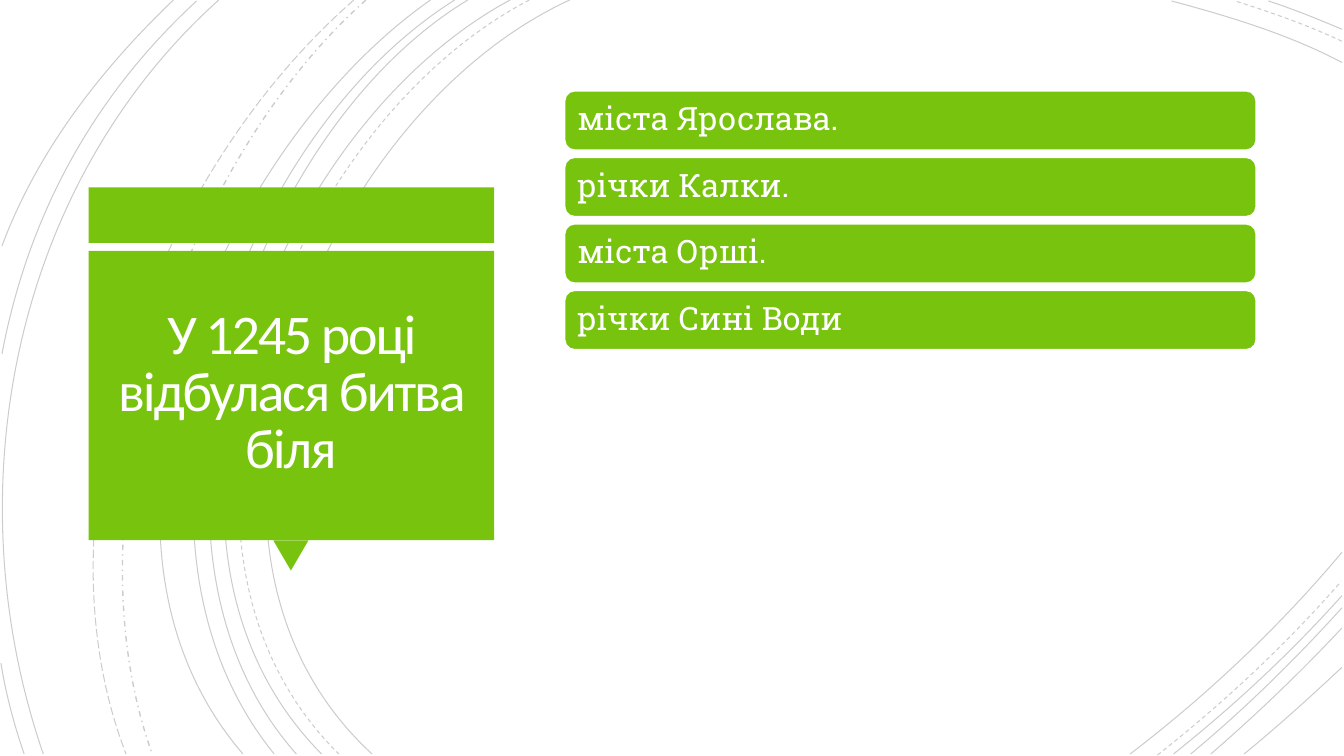
from lxml.etree import SubElement
from pptx import Presentation
from pptx.dml.color import RGBColor
from pptx.enum.dml import MSO_LINE as DASH
from pptx.enum.shapes import MSO_SHAPE as SHAPE
from pptx.enum.text import MSO_ANCHOR, MSO_AUTO_SIZE, PP_ALIGN
from pptx.oxml.ns import qn
from pptx.util import Inches, Pt

COLORS = {"green": "78C30D", "white": "FFFFFF", "title": "FFFEFF", "arc": "000000"}
COLS, ROWS = 13.33, 7.5

prs = Presentation()
prs.slide_width, prs.slide_height = Inches(COLS), Inches(ROWS)
col, row = prs.slide_width / COLS, prs.slide_height / ROWS
s = prs.slides.add_slide(prs.slide_layouts[5])


def add_block(kind, x, y, w, h):
    """Add a green shape without an outline, placed in columns and rows."""
    sp = s.shapes.add_shape(kind, int(x * col), int(y * row), int(w * col), int(h * row))
    sp.shadow.inherit = False
    sp.fill.solid()
    sp.fill.fore_color.rgb = RGBColor.from_string(COLORS["green"])
    sp.line.fill.background()
    return sp


def write(sp, text, font, size, color, spacing, align, margin):
    tf = sp.text_frame
    frame = {"word_wrap": True, "auto_size": MSO_AUTO_SIZE.NONE,
             "vertical_anchor": MSO_ANCHOR.MIDDLE,
             "margin_left": Inches(margin), "margin_right": Inches(margin),
             "margin_top": Inches(0.1), "margin_bottom": Inches(0.1)}
    for name, value in frame.items():
        setattr(tf, name, value)
    p = tf.paragraphs[0]
    p.alignment, p.line_spacing = align, spacing
    r = p.add_run()
    r.text = text
    r.font.name, r.font.size = font, Pt(size)
    r.font.color.rgb = RGBColor.from_string(COLORS[color])
    return r


# Background arcs: start, two control points and end of each Bezier curve
arcs = {
    (DASH.SOLID, 0.75): [
        [(5.65, 0), (3.15, 1.15), (1.43, 5.4), (3.69, 7.48)],
        [(13.31, 0.62), (12.78, 0.34), (12.18, 0.16), (11.62, 0.01)],
        [(11.21, 7.48), (11.97, 6.9), (12.69, 6.22), (13.31, 5.48)],
        [(5.06, 0), (2.7, 1.27), (1.1, 5.37), (3.19, 7.48)],
        [(13.31, 0.29), (13.07, 0.19), (12.83, 0.09), (12.58, 0.01)],
        [(11.64, 7.48), (12.23, 7.01), (12.8, 6.48), (13.31, 5.91)],
        [(4.64, 0), (2.44, 1.33), (1.1, 5.41), (2.94, 7.48)],
        [(11.81, 7.48), (12.34, 7.04), (12.84, 6.55), (13.31, 6.03)],
        [(4.51, 0), (2.31, 1.38), (0.97, 5.33), (2.72, 7.48)],
        [(12.01, 7.48), (12.46, 7.09), (12.9, 6.67), (13.31, 6.23)],
        [(4.27, 0), (2.17, 1.47), (0.53, 5.29), (2.41, 7.48)],
        [(12.34, 7.48), (12.67, 7.21), (12.99, 6.92), (13.31, 6.62)],
        [(2.17, 0), (0.11, 1.85), (-0.46, 4.9), (0.43, 7.48)],
        [(1.95, 0.01), (0.92, 0.96), (0.28, 2.14), (0.02, 3.51)],
        [(0.01, 6.58), (0.06, 6.89), (0.14, 7.19), (0.24, 7.48)],
        [(1.72, 0), (1, 0.69), (0.37, 1.5), (0.02, 2.44)],
    ],
    (DASH.DASH, 0.75): [
        [(5.25, 0), (2.85, 1.25), (1.23, 5.37), (3.36, 7.48)],
        [(13.31, 0.41), (12.97, 0.25), (12.6, 0.12), (12.25, 0.01)],
        [(11.48, 7.49), (12.13, 6.98), (12.75, 6.4), (13.3, 5.77)],
    ],
    (DASH.DASH_DOT, 1): [[(3.63, 0), (1.76, 1.66), (0.65, 5.09), (1.51, 7.48)]],
    (DASH.LONG_DASH, 0.75): [[(3.51, 0), (1.57, 1.69), (0.29, 4.99), (1.25, 7.48)]],
}
for (dash, width), curves in arcs.items():
    for curve in curves:
        start, *rest = [(int(x * col), int(y * row)) for x, y in curve]
        builder = s.shapes.build_freeform(*start)
        builder.add_line_segments(rest, close=False)
        arc = builder.convert_to_shape()
        arc.shadow.inherit = False
        arc.fill.background()
        arc.line.width, arc.line.dash_style = Pt(width), dash
        arc.line.color.rgb = RGBColor.from_string(COLORS["arc"])
        rgb = next(arc.line._ln.iter(qn("a:srgbClr")))
        SubElement(rgb, qn("a:alpha"), val="20000")
        # Turn the three straight segments into one cubic curve
        outline = next(arc._element.iter(qn("a:path")))
        segments = outline.findall(qn("a:lnTo"))
        bezier = SubElement(outline, qn("a:cubicBezTo"))
        for segment in segments:
            bezier.append(segment[0])
            outline.remove(segment)

# Title panel with a band above and a pointer below
add_block(SHAPE.RECTANGLE, 0.88, 1.86, 4.02, 0.55)
pointer = add_block(SHAPE.ISOSCELES_TRIANGLE, 2.71, 5.36, 0.35, 0.3)
pointer.rotation = 180
add_block(SHAPE.RECTANGLE, 0.88, 2.49, 4.02, 2.87)

title = s.shapes.title
title.left, title.top = int(0.97 * col), int(2.56 * row)
title.width, title.height = int(3.83 * col), int(2.7 * row)
r = write(title, "У 1245 році відбулася битва біля", "Calibri", 40, "title",
          0.85, PP_ALIGN.CENTER, 0.1)
r.font._element.set("spc", "-150")
s.shapes._spTree.append(title._element)  # bring the title in front of its panel

# Answer cards
answers = ["міста Ярослава.", "річки Калки.", "міста Орші.", "річки Сині Води"]
for i, answer in enumerate(answers):
    card = add_block(SHAPE.ROUNDED_RECTANGLE, 5.6, 0.9 + i * 0.66, 6.86, 0.59)
    card.line.color.rgb = RGBColor.from_string(COLORS["white"])
    card.line.width = Pt(1.25)
    write(card, answer, "Roboto Slab", 23, "white", 0.9, PP_ALIGN.LEFT, 0.1)

prs.save("out.pptx")
